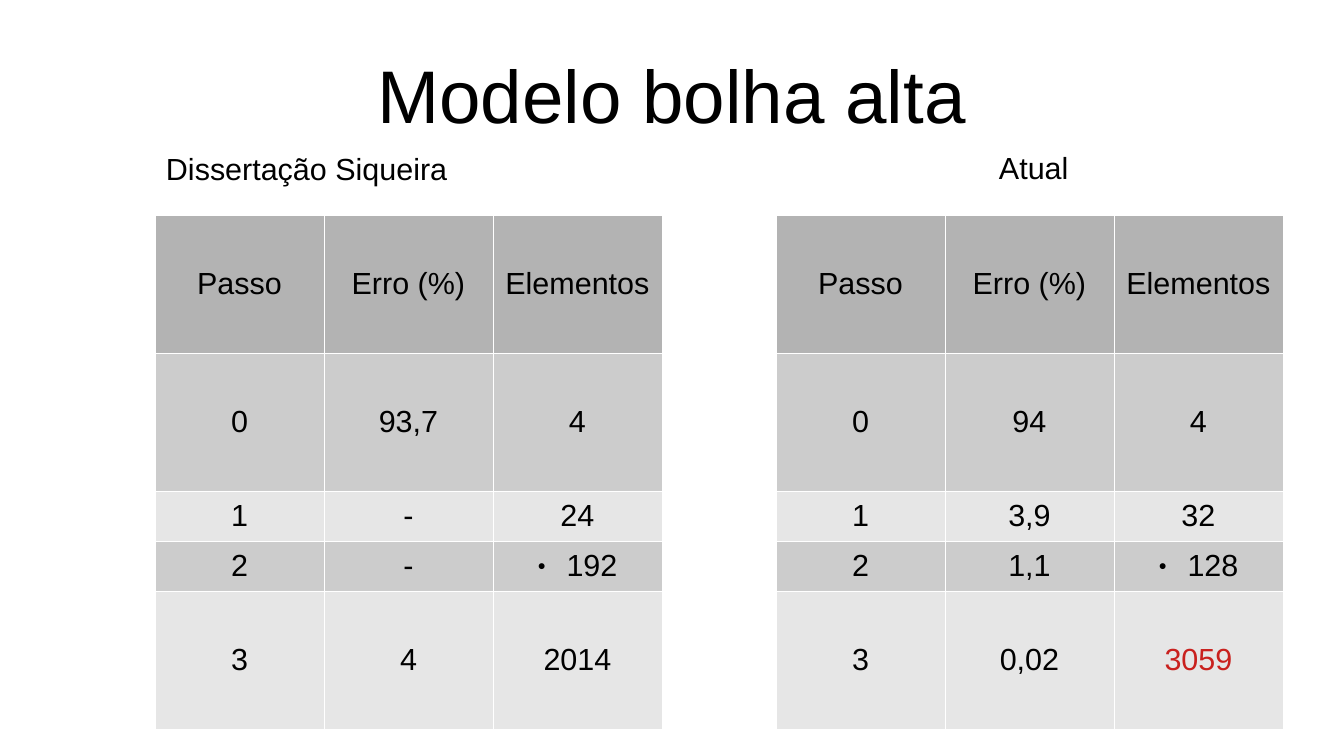
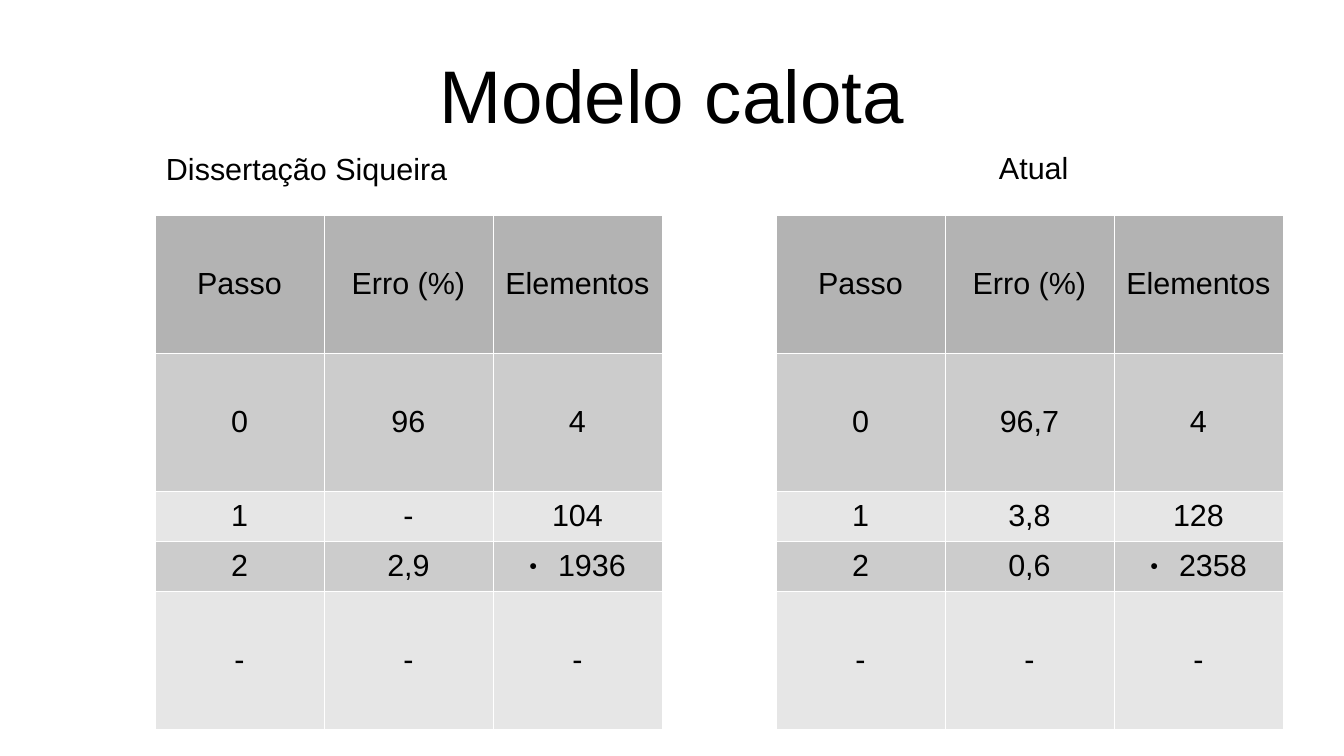
from lxml import etree
from pptx import Presentation
from pptx import util as u
from pptx.dml.color import RGBColor
from pptx.enum import text
from pptx.oxml import ns

EMU_PER_PX = 914400 / 122
FONT = "Arial"
BLACK, WHITE, RED = "000000", "FFFFFF", "C9211E"
ROW_FILLS = ["B3B3B3", "CCCCCC", "E6E6E6", "CCCCCC", "E6E6E6"]
ROW_HEIGHTS = [138, 138, 50, 50, 138]
COLUMN_WIDTH = 169
TABLE_TOP = 215
HEADER = ["Passo", "Erro (%)", "Elementos"]
BULLET_CELL = (3, 2)
BORDER_WIDTH = "720"

TABLES = [
    {"left": 155, "label": "Dissertação Siqueira", "label_box": (154, 144, 345, 46)},
    {"left": 776, "label": "Atual", "label_box": (987, 143, 118, 46)},
]

SLIDES = [
    ("Modelo bolha alta", [
        [["0", "93,7", "4"], ["1", "-", "24"], ["2", "-", "192"], ["3", "4", "2014"]],
        [["0", "94", "4"], ["1", "3,9", "32"], ["2", "1,1", "128"], ["3", "0,02", "3059"]],
    ]),
    ("Modelo calota", [
        [["0", "96", "4"], ["1", "-", "104"], ["2", "2,9", "1936"], ["-", "-", "-"]],
        [["0", "96,7", "4"], ["1", "3,8", "128"], ["2", "0,6", "2358"], ["-", "-", "-"]],
    ]),
]


def px(length):
    return u.Emu(round(length * EMU_PER_PX))


def write(paragraph, wording, size, alignment, color=BLACK):
    paragraph.alignment = alignment
    run = paragraph.add_run()
    run.text = wording
    run.font.name = FONT
    run.font.size = u.Pt(size)
    run.font.color.rgb = RGBColor.from_string(color)


presentation = Presentation()
presentation.slide_width, presentation.slide_height = px(1344), px(756)

layout = presentation.slide_layouts[5]
layout_title = layout.placeholders[0]
layout_title.left, layout_title.top = px(67), px(30)
layout_title.width, layout_title.height = px(1210), px(127)
title_frame = layout_title.text_frame
title_frame.margin_left = title_frame.margin_right = 0
title_frame.margin_top = title_frame.margin_bottom = 0
title_frame.vertical_anchor = text.MSO_ANCHOR.MIDDLE

for title, datasets in SLIDES:
    slide = presentation.slides.add_slide(layout)
    write(slide.shapes.title.text_frame.paragraphs[0], title, 44, text.PP_ALIGN.CENTER)

    for place, dataset in zip(TABLES, datasets):
        label = slide.shapes.add_textbox(*map(px, place["label_box"]))
        label.text_frame.word_wrap = True
        write(label.text_frame.paragraphs[0], place["label"], 18, text.PP_ALIGN.LEFT)

        rows = [HEADER] + dataset
        frame = slide.shapes.add_table(
            len(rows), len(HEADER), px(place["left"]), px(TABLE_TOP),
            px(COLUMN_WIDTH * len(HEADER)), px(sum(ROW_HEIGHTS)))
        table = frame.table
        table.first_row = table.horz_banding = False
        for column in table.columns:
            column.width = px(COLUMN_WIDTH)

        for row_index, values in enumerate(rows):
            table.rows[row_index].height = px(ROW_HEIGHTS[row_index])
            for column_index, value in enumerate(values):
                cell = table.cell(row_index, column_index)
                cell.vertical_anchor = text.MSO_ANCHOR.MIDDLE
                cell_properties = cell._tc.get_or_add_tcPr()
                for side in ("lnL", "lnR", "lnT", "lnB"):
                    line = etree.SubElement(cell_properties, ns.qn("a:" + side), w=BORDER_WIDTH)
                    line_fill = etree.SubElement(line, ns.qn("a:solidFill"))
                    etree.SubElement(line_fill, ns.qn("a:srgbClr"), val=WHITE)
                cell.fill.solid()
                cell.fill.fore_color.rgb = RGBColor.from_string(ROW_FILLS[row_index])

                paragraph = cell.text_frame.paragraphs[0]
                if (row_index, column_index) == BULLET_CELL:
                    properties = paragraph._p.get_or_add_pPr()
                    properties.set("marL", str(px(29)))
                    properties.set("indent", str(-px(29)))
                    bullet_color = etree.SubElement(properties, ns.qn("a:buClr"))
                    etree.SubElement(bullet_color, ns.qn("a:srgbClr"), val=BLACK)
                    etree.SubElement(properties, ns.qn("a:buSzPct"), val="45000")
                    etree.SubElement(properties, ns.qn("a:buFont"), typeface=FONT)
                    etree.SubElement(properties, ns.qn("a:buChar"), char="●")
                color = RED if value == "3059" else BLACK
                write(paragraph, value, 18, text.PP_ALIGN.CENTER, color)

presentation.save("out.pptx")
